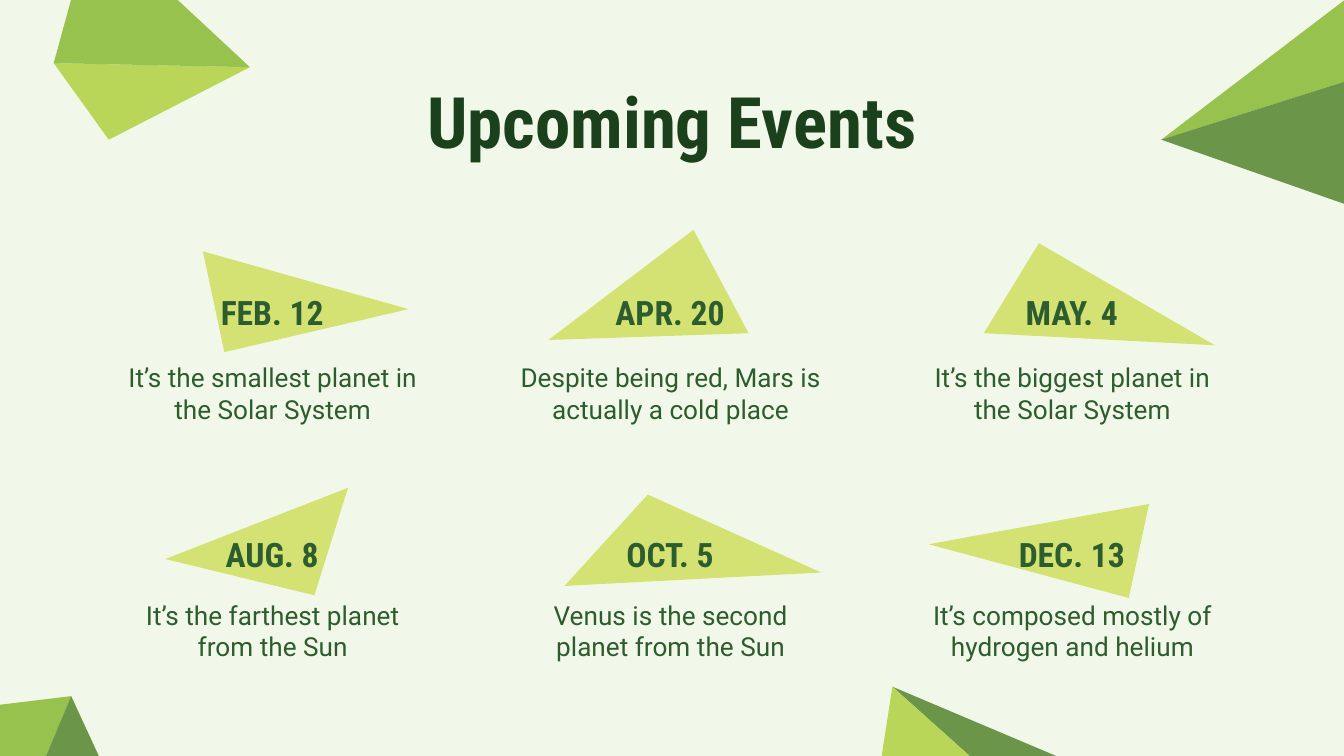
from pptx import Presentation
from pptx.dml.color import RGBColor
from pptx.enum import text
from pptx.util import Emu, Pt

PX = 9144  # EMU per px, 100 px to the inch

CREAM = RGBColor(0xF2, 0xF8, 0xE9)
LIME = RGBColor(0xB9, 0xD6, 0x58)
GREEN = RGBColor(0x96, 0xC2, 0x4D)
MOSS = RGBColor(0x6B, 0x96, 0x4A)
PALE = RGBColor(0xD4, 0xE2, 0x73)
DARK = RGBColor(0x1A, 0x41, 0x1B)
FOREST = RGBColor(0x2D, 0x5C, 0x2E)

HEAD = "Roboto Condensed"
BODY = "Roboto"


class Deck:
    def __init__(self, wide):
        self.prs = Presentation()
        self.prs.slide_width = Emu(wide * PX)
        self.prs.slide_height = Emu(wide * PX * 9 // 16)
        self.slide = self.prs.slides.add_slide(self.prs.slide_layouts[6])
        fill = self.slide.background.fill
        fill.solid()
        fill.fore_color.rgb = CREAM

    def facet(self, color, start, *rest):
        pen = self.slide.shapes.build_freeform(*start, scale=PX)
        pen.add_line_segments(rest, close=True)
        shape = pen.convert_to_shape()
        shape.shadow.inherit = False
        shape.fill.solid()
        shape.fill.fore_color.rgb = color
        shape.line.fill.background()

    def label(self, box, words, size, face, color, bold=False,
              anchor=text.MSO_ANCHOR.TOP, after=0):
        area = self.slide.shapes.add_textbox(*(Emu(n * PX) for n in box))
        frame = area.text_frame
        frame.word_wrap = True
        frame.vertical_anchor = anchor
        frame.margin_left = frame.margin_right = Emu(10 * PX)
        frame.margin_top = frame.margin_bottom = Emu(10 * PX)
        frame.text = words
        para = frame.paragraphs[0]
        para.alignment = text.PP_ALIGN.CENTER
        para.space_after = Pt(after)
        font = para.runs[0].font
        font.size, font.name, font.bold = Pt(size), face, bold
        font.color.rgb = color


def main():
    deck = Deck(1000)

    # Corner gems: two facets that share an edge
    gems = [
        ((186, 50), (40, 47), (LIME, (81, 104)), (GREEN, (69, -59))),
        ((664, 511), (780, 615), (MOSS, (820, 577)), (LIME, (651, 595))),
        ((864, 104), (1082, 35), (GREEN, (1053, -40)), (MOSS, (1001, 152))),
        ((53, 518), (-13, 675), (GREEN, (-62, 532)), (MOSS, (101, 622))),
    ]
    for tip, end, *sides in gems:
        for color, apex in sides:
            deck.facet(color, tip, end, apex)

    deck.label((78, 48, 844, 63), "Upcoming Events", 38, HEAD, DARK, True)

    # Events: date, description, triangle behind the date
    cols = (81, 377, 676)
    rows = [
        (212, 41, 259, [
            ("FEB. 12", "It’s the smallest planet in the Solar System",
             ((304, 230), (151, 187), (167, 262))),
            ("APR. 20", "Despite being red, Mars is actually a cold place",
             ((516, 171), (408, 253), (557, 248))),
            ("MAY. 4", "It’s the biggest planet in the Solar System",
             ((773, 181), (732, 248), (904, 257))),
        ]),
        (393, 38, 436, [
            ("AUG. 8", "It’s the farthest planet from the Sun",
             ((234, 443), (259, 363), (123, 416))),
            ("OCT. 5", "Venus is the second planet from the Sun",
             ((482, 368), (420, 436), (611, 426))),
            ("DEC. 13", "It’s composed mostly of hydrogen and helium",
             ((691, 405), (855, 375), (840, 445))),
        ]),
    ]
    for top, high, low, events in rows:
        for left, (date, note, points) in zip(cols, events):
            deck.facet(PALE, *points)
            deck.label((left, low, 244, 63), note, 14, BODY, FOREST, after=16)
            deck.label((left + 37, top, 169, high), date, 18, HEAD, FOREST,
                       True, text.MSO_ANCHOR.MIDDLE)

    deck.prs.save("out.pptx")


if __name__ == "__main__":
    main()
